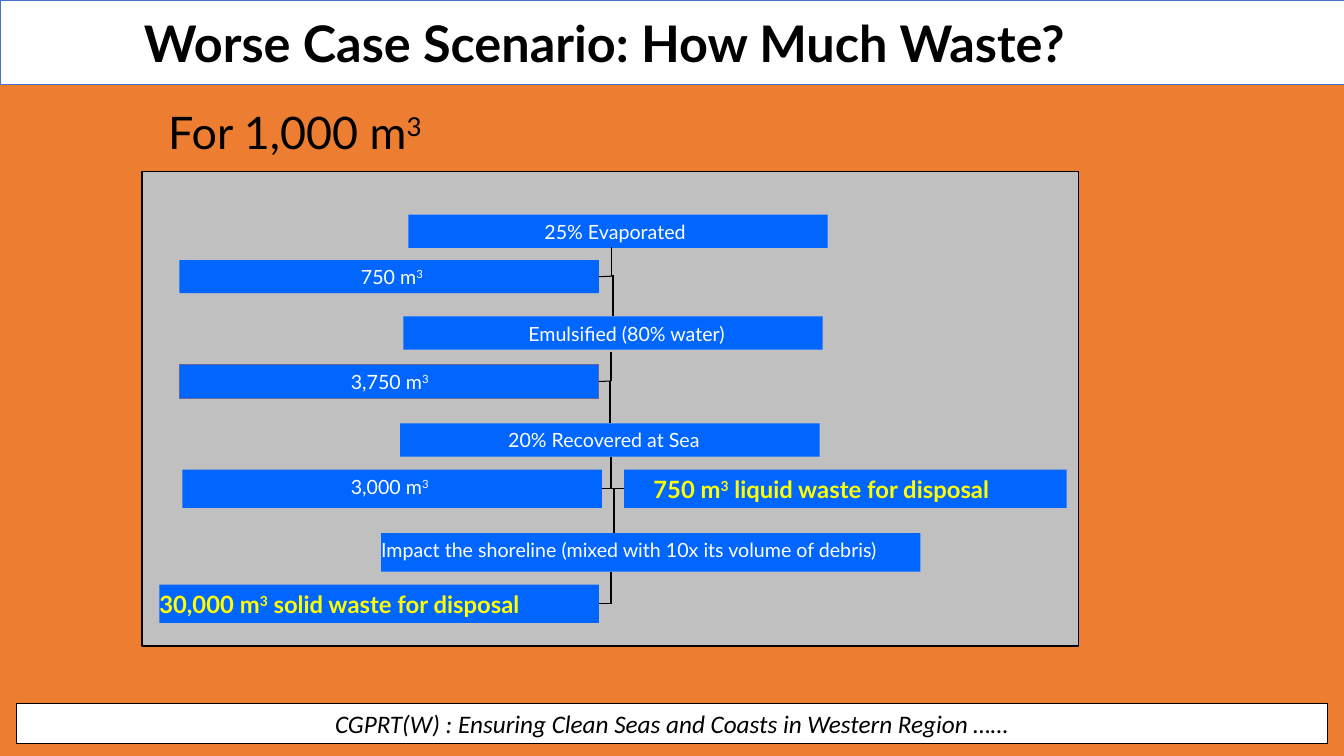
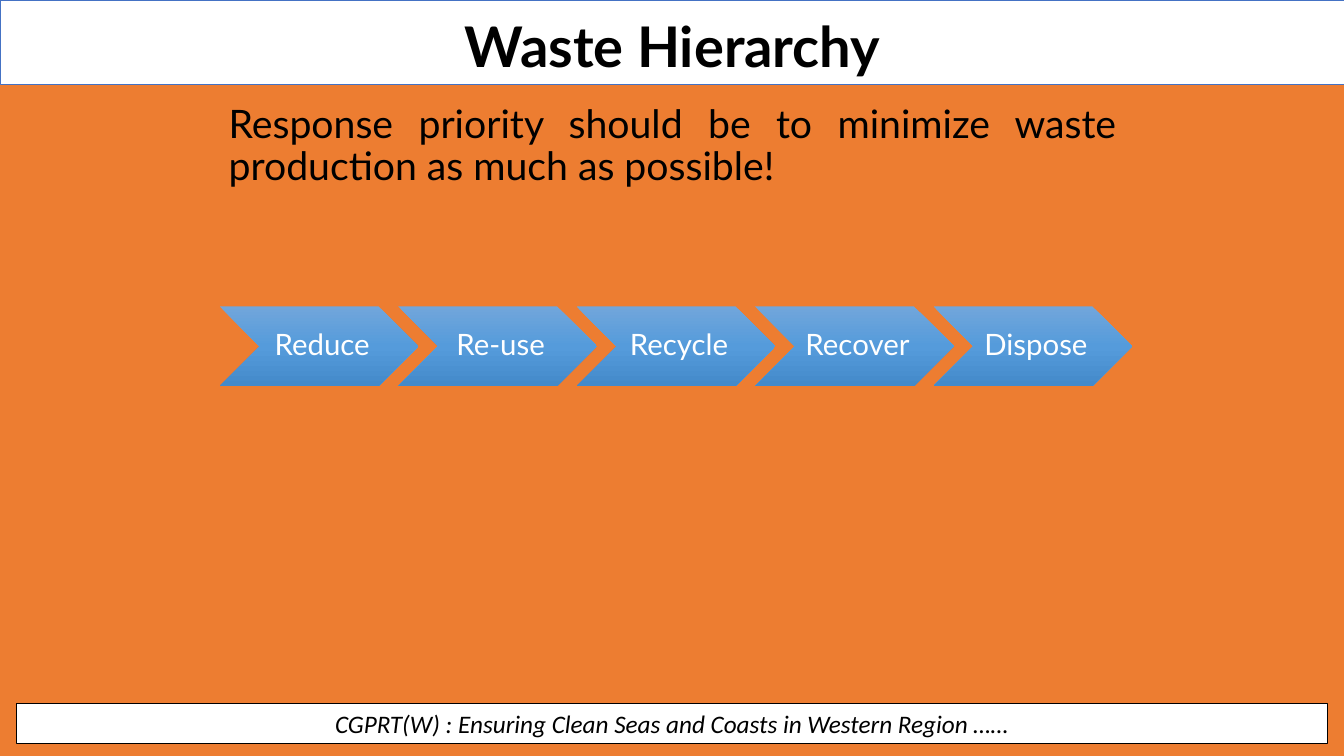
from dataclasses import dataclass
from typing import NamedTuple, Optional
import copy

import pptx
import pptx.dml.color
import pptx.enum.dml
import pptx.enum.shapes
import pptx.enum.text
import pptx.oxml
import pptx.oxml.ns
import pptx.util

Inches = pptx.util.Inches
Pt = pptx.util.Pt
RGBColor = pptx.dml.color.RGBColor
Shapes = pptx.enum.shapes.MSO_SHAPE
Align = pptx.enum.text.PP_ALIGN
Anchor = pptx.enum.text.MSO_ANCHOR
qn = pptx.oxml.ns.qn

# Shared look
ORANGE = RGBColor(0xED, 0x7D, 0x31)
WHITE = RGBColor(0xFF, 0xFF, 0xFF)
BLACK = RGBColor(0x00, 0x00, 0x00)
BAND_EDGE = RGBColor(0x44, 0x72, 0xC4)
PANEL_GREY = RGBColor(0xC0, 0xC0, 0xC0)
BAR_BLUE = RGBColor(0x00, 0x66, 0xFF)
BAR_EDGE = RGBColor(0x66, 0x66, 0x99)
YELLOW = RGBColor(0xFF, 0xFF, 0x00)
CHEVRON_STOPS = (
    (0.0, RGBColor(0x71, 0xA6, 0xDB)),
    (0.5, RGBColor(0x55, 0x9B, 0xDB)),
    (1.0, RGBColor(0x44, 0x8A, 0xCA)),
)
FONT = "Lato"
FOOTER = "CGPRT(W) : Ensuring Clean Seas and Coasts in Western Region ……"
DEFAULT_INSETS = (0.1, 0.05, 0.1, 0.05)


class Box(NamedTuple):
    left: float
    top: float
    width: float
    height: float


@dataclass(frozen=True)
class Style:
    size: float
    color: RGBColor = BLACK
    bold: bool = False
    italic: bool = False
    font: str = FONT
    align: Align = Align.LEFT
    spacing: float = 1.0


@dataclass(frozen=True)
class Bar:
    text: str
    box: Box
    indent: float
    highlight: bool = False
    edge: Optional[RGBColor] = None


@dataclass(frozen=True)
class Link:
    """A line; start and end may name a (bar, side) to join."""
    points: tuple
    start: Optional[tuple] = None
    end: Optional[tuple] = None


STEP = Style(14, WHITE)
DISPOSAL = Style(17, YELLOW, bold=True)
TOP, LEFT, RIGHT = 0, 1, 3

# Waste flow content; text between carets is superscript
BARS = {
    "evaporated": Bar("25% Evaporated", Box(4.05, 2.13, 4.16, 0.33), 1.35),
    "remaining": Bar("750 m^3^", Box(1.78, 2.58, 4.16, 0.33), 1.8),
    "emulsified": Bar("Emulsified (80% water)", Box(4, 3.14, 4.16, 0.33), 1.24),
    "emulsion": Bar("3,750 m^3^", Box(1.78, 3.62, 4.16, 0.33), 1.7, edge=BAR_EDGE),
    "recovered": Bar("20% Recovered at Sea", Box(3.97, 4.2, 4.16, 0.33), 1.07),
    "adrift": Bar("3,000 m^3^", Box(1.81, 4.66, 4.16, 0.38), 1.67),
    "liquid": Bar("750 m^3^ liquid waste for disposal",
                  Box(6.19, 4.66, 4.39, 0.38), 0.29, highlight=True),
    "shoreline": Bar("Impact the shoreline (mixed with 10x its volume of debris)",
                     Box(3.78, 5.29, 5.35, 0.38), 0),
    "solid": Bar("30,000 m^3^ solid waste for disposal",
                 Box(1.58, 5.8, 4.36, 0.38), 0, highlight=True),
}
LINKS = (
    Link((6.07, 2.45, 6.07, 2.74)),
    Link((5.94, 2.74, 6.07, 2.74), start=("remaining", RIGHT)),
    Link((6.08, 2.73, 6.08, 3.14), end=("emulsified", TOP)),
    Link((6.06, 3.49, 6.06, 3.78)),
    Link((5.94, 3.78, 6.06, 3.78), start=("emulsion", RIGHT)),
    Link((6.05, 3.78, 6.05, 4.2), end=("recovered", TOP)),
    Link((6.06, 4.53, 6.06, 4.85)),
    Link((5.97, 4.85, 6.06, 4.85), start=("adrift", RIGHT)),
    Link((6.06, 4.85, 6.19, 4.85), end=("liquid", LEFT)),
    Link((6.09, 4.85, 6.09, 5.29)),
    Link((6.06, 5.67, 6.06, 5.99)),
    Link((5.94, 5.99, 6.06, 5.99), start=("solid", RIGHT)),
)

# Waste hierarchy content
HIERARCHY = ("Reduce", "Re-use", "Recycle", "Recover", "Dispose")
FIRST_CHEVRON = Box(2.18, 3.04, 1.97, 0.79)
CHEVRON_PITCH = 1.77


def write(shape, text: str, style: Style, anchor: Anchor = Anchor.TOP,
          insets: tuple = DEFAULT_INSETS) -> None:
    """Fill a shape with one paragraph."""
    frame = shape.text_frame
    frame.word_wrap = True
    frame.vertical_anchor = anchor
    (frame.margin_left, frame.margin_top,
     frame.margin_right, frame.margin_bottom) = map(Inches, insets)
    paragraph = frame.paragraphs[0]
    paragraph.alignment = style.align
    paragraph.line_spacing = style.spacing
    for index, part in enumerate(text.split("^")):
        if not part:
            continue
        run = paragraph.add_run()
        run.text = part
        run.font.name = style.font
        run.font.size = Pt(style.size)
        run.font.bold = style.bold
        run.font.italic = style.italic
        run.font.color.rgb = style.color
        if index % 2:
            run._r.get_or_add_rPr().set("baseline", "30000")


def add_text(slide, box: Box, text: str, style: Style) -> None:
    write(slide.shapes.add_textbox(*map(Inches, box)), text, style)


def add_block(slide, box: Box, fill: Optional[RGBColor] = None,
              edge: Optional[RGBColor] = None, edge_width: float = 0.75,
              kind: Shapes = Shapes.RECTANGLE):
    block = slide.shapes.add_shape(kind, *map(Inches, box))
    block.shadow.inherit = False
    if fill is not None:
        block.fill.solid()
        block.fill.fore_color.rgb = fill
    if edge is None:
        block.line.fill.background()
    else:
        block.line.color.rgb = edge
        block.line.width = Pt(edge_width)
    return block


def add_bar(slide, bar: Bar):
    block = add_block(slide, bar.box, BAR_BLUE, bar.edge)
    write(block, bar.text, DISPOSAL if bar.highlight else STEP,
          insets=(bar.indent, 0.05, 0, 0))
    return block


def add_link(slide, link: Link, bars: dict) -> None:
    line = slide.shapes.add_connector(
        pptx.enum.shapes.MSO_CONNECTOR.STRAIGHT, *map(Inches, link.points))
    line.line.color.rgb = BLACK
    line.line.width = Pt(0.75)
    properties = line._element.spPr
    properties.append(properties.makeelement(qn("a:effectLst"), {}))
    if link.start:
        line.begin_connect(bars[link.start[0]], link.start[1])
    if link.end:
        line.end_connect(bars[link.end[0]], link.end[1])


def add_chevron(slide, box: Box, label: str) -> None:
    chevron = add_block(slide, box, kind=Shapes.CHEVRON)
    chevron.fill.gradient()
    chevron.fill.gradient_angle = 270
    stop_list = chevron._element.spPr.find(".//" + qn("a:gsLst"))
    stop_list.append(copy.deepcopy(stop_list[0]))
    for stop, (position, color) in zip(chevron.fill.gradient_stops, CHEVRON_STOPS):
        stop.position = position
        stop.color.rgb = color
    write(chevron, label, Style(21, WHITE, align=Align.CENTER, spacing=0.9),
          Anchor.MIDDLE, (0.09, 0.03, 0.03, 0.03))


def new_slide(prs, title: str, title_box: Box, style: Style):
    """Start a slide with the footer and the title band."""
    slide = prs.slides.add_slide(prs.slide_layouts[6])
    slide.background.fill.solid()
    slide.background.fill.fore_color.rgb = ORANGE
    footer = add_block(slide, Box(0.16, 6.98, 13.01, 0.4), WHITE, BLACK)
    write(footer, FOOTER, Style(18, italic=True, font="Calibri", align=Align.CENTER),
          Anchor.MIDDLE)
    add_block(slide, Box(0, 0, 13.33, 0.84), WHITE, BAND_EDGE, 0.5)
    add_text(slide, title_box, title, style)
    return slide


def build_waste_flow(prs) -> None:
    slide = new_slide(prs, "Worse Case Scenario: How Much Waste?",
                      Box(1.33, 0.14, 10.63, 0.61), Style(36, bold=True, spacing=0.9))
    add_block(slide, Box(1.41, 1.7, 9.29, 4.71), PANEL_GREY, BLACK, 1)
    bars = {key: add_bar(slide, bar) for key, bar in BARS.items()}
    for link in LINKS:
        add_link(slide, link, bars)
    add_text(slide, Box(1.57, 0.99, 3.16, 0.64), "For 1,000 m^3^", Style(32))


def build_hierarchy(prs) -> None:
    slide = new_slide(prs, "Waste Hierarchy", Box(2.17, 0.14, 9, 0.61),
                      Style(40, bold=True, align=Align.CENTER, spacing=0.9))
    add_text(slide, Box(2.17, 0.99, 9, 1),
             "Response priority should be to minimize waste production "
             "as much as possible!",
             Style(28, align=Align.JUSTIFY, spacing=0.9))
    for index, label in enumerate(HIERARCHY):
        left = FIRST_CHEVRON.left + index * CHEVRON_PITCH
        add_chevron(slide, FIRST_CHEVRON._replace(left=left), label)


def main() -> None:
    prs = pptx.Presentation()
    prs.slide_width = Inches(13.33)
    prs.slide_height = Inches(7.5)
    build_waste_flow(prs)
    build_hierarchy(prs)
    prs.save("out.pptx")


if __name__ == "__main__":
    main()
